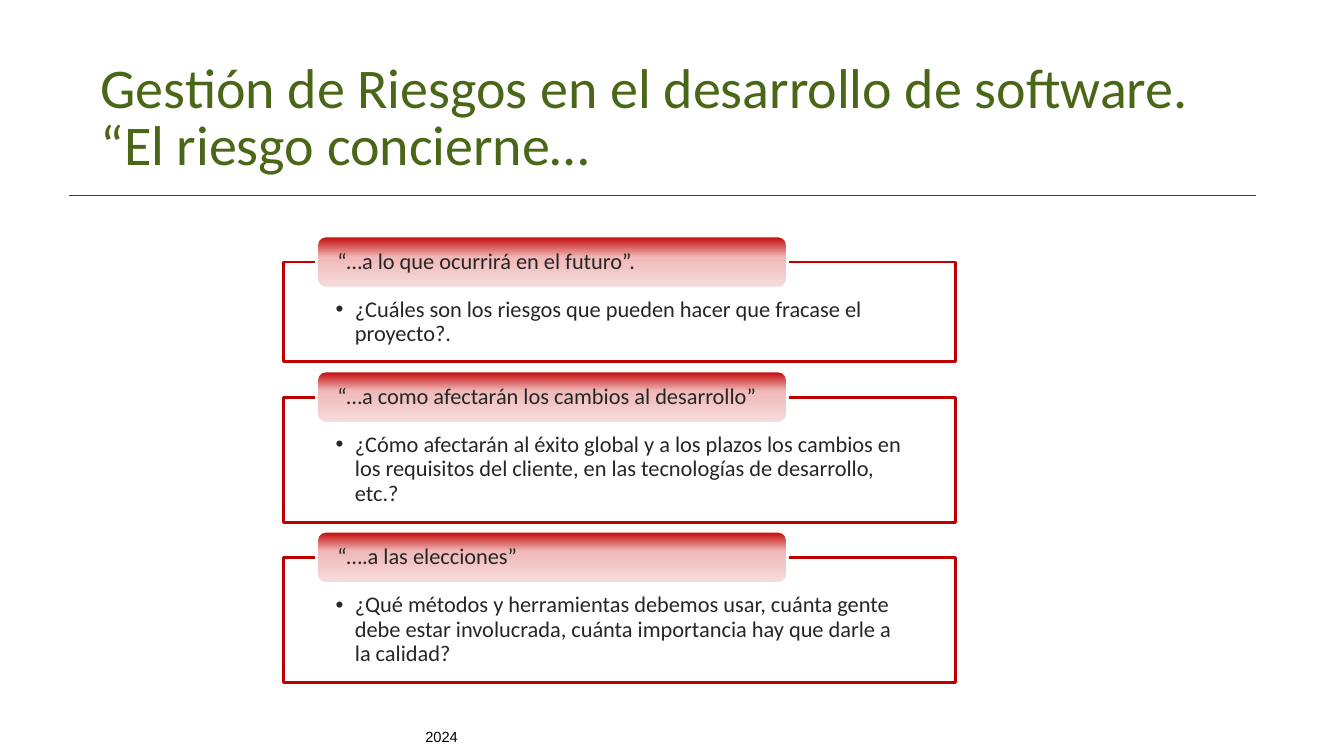
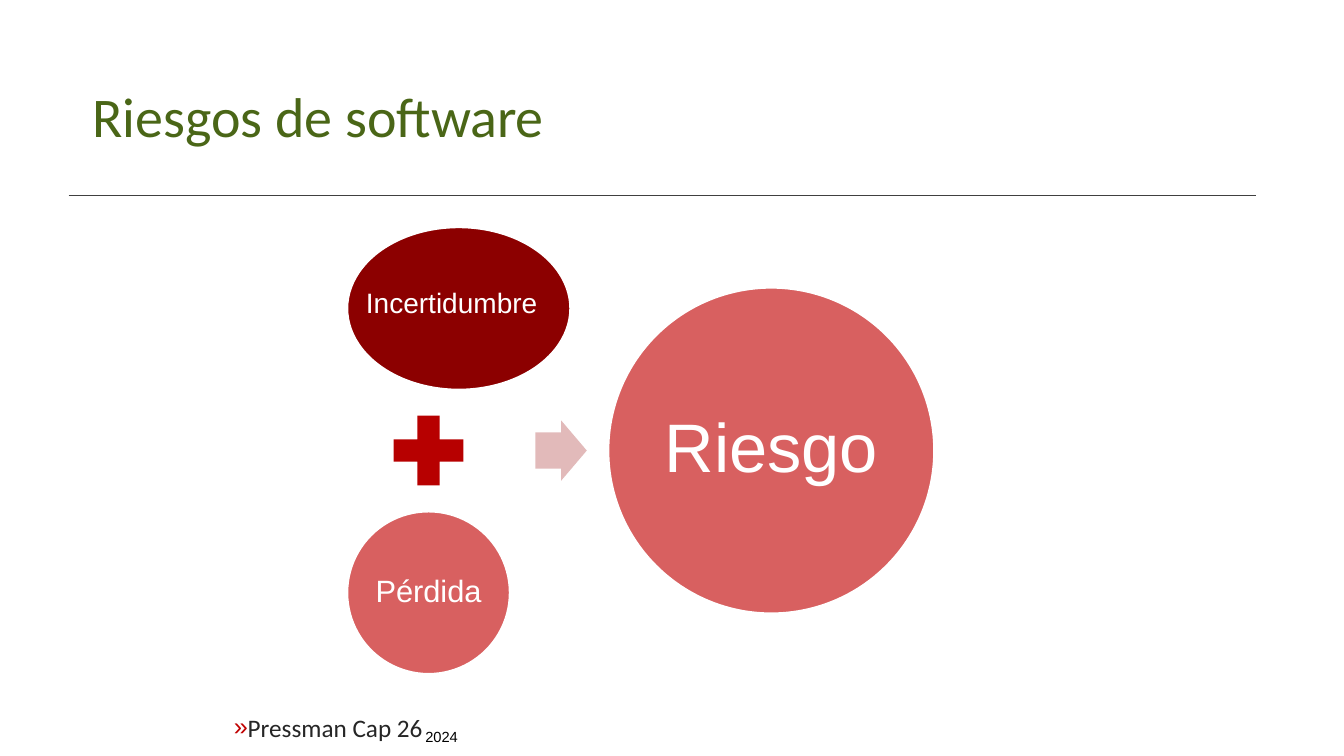
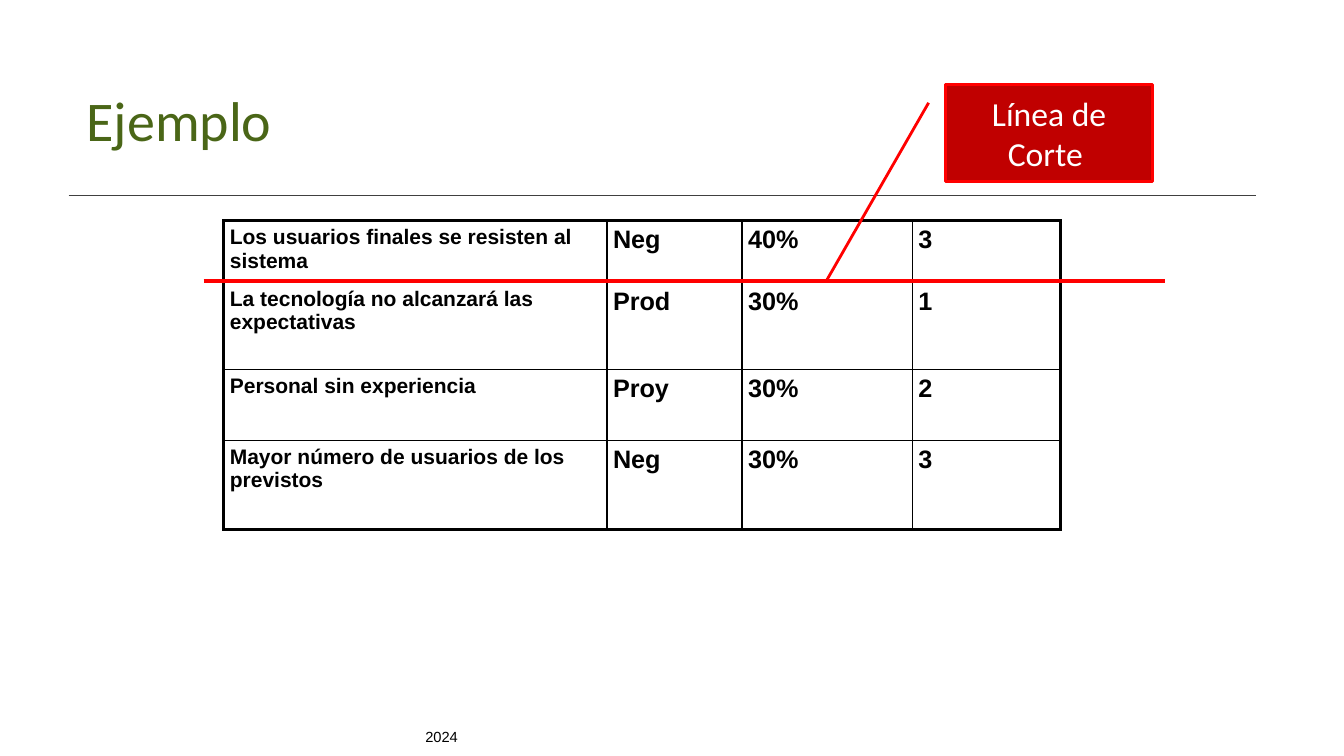
import dataclasses

import pptx
import pptx.dml.color
import pptx.enum.shapes
import pptx.enum.text
import pptx.oxml
import pptx.oxml.ns
import pptx.util
from lxml import etree

Inches = pptx.util.Inches
Pt = pptx.util.Pt
qn = pptx.oxml.ns.qn
SHAPE = pptx.enum.shapes.MSO_SHAPE
ALIGN = pptx.enum.text.PP_ALIGN
ANCHOR = pptx.enum.text.MSO_ANCHOR


@dataclasses.dataclass(frozen=True)
class Theme:
    heading_font: str = "Calibri"
    plain_font: str = "Arial"
    title: str = "4A6617"
    body: str = "262626"
    black: str = "000000"
    white: str = "FFFFFF"
    rule: str = "404040"
    red: str = "C00000"
    bright_red: str = "FF0000"
    dark_red: str = "8C0000"
    plus_red: str = "B70000"
    rose: str = "D86060"
    pale_rose: str = "E2BABA"
    pill_middle: str = "F0B8B8"
    pill_end: str = "F6DDDD"
    title_size: float = 40
    body_size: float = 16
    note_size: float = 18
    callout_size: float = 24
    footer_size: float = 10.5
    risk_size: float = 15
    value_size: float = 18
    outline: float = 2
    thin: float = 0.96
    thick: float = 2.21


T = Theme()


def rgb(color):
    return pptx.dml.color.RGBColor.from_string(color)


def set_font(p, size, color, name, bold=False):
    p.font.size = Pt(size)
    p.font.color.rgb = rgb(color)
    p.font.name = name
    p.font.bold = bold


def set_text(sp, text, size, color, name, align=ALIGN.LEFT, anchor=ANCHOR.TOP,
             insets=(0.1, 0.05, 0.1, 0.05), spacing=1.0, wrap=True):
    """Fill a shape with one paragraph; insets run left, top, right, bottom."""
    tf = sp.text_frame
    tf.word_wrap = wrap
    tf.vertical_anchor = anchor
    tf.margin_left, tf.margin_top, tf.margin_right, tf.margin_bottom = map(Inches, insets)
    p = tf.paragraphs[0]
    p.text = text
    p.alignment = align
    p.line_spacing = spacing
    set_font(p, size, color, name)
    return p


def add_bullet(p, char, color, indent):
    pPr = p._p.get_or_add_pPr()
    pPr.set("marL", str(Inches(indent)))
    pPr.set("indent", str(-Inches(indent)))
    clr = etree.Element(qn("a:buClr"))
    etree.SubElement(clr, qn("a:srgbClr"), val=color)
    font = etree.Element(qn("a:buFont"), typeface=T.plain_font)
    mark = etree.Element(qn("a:buChar"), char=char)
    at = list(pPr).index(pPr.find(qn("a:lnSpc"))) + 1
    pPr[at:at] = [clr, font, mark]


def add_text(slide, box, text, size, color, name, **options):
    tb = slide.shapes.add_textbox(*map(Inches, box))
    return set_text(tb, text, size, color, name, **options)


def add_shape(slide, kind, box, fill, line=None, adjustments=()):
    sp = slide.shapes.add_shape(kind, *map(Inches, box))
    sp.shadow.inherit = False
    sp.fill.solid()
    sp.fill.fore_color.rgb = rgb(fill)
    if line:
        sp.line.color.rgb = rgb(line)
        sp.line.width = Pt(T.outline)
    else:
        sp.line.fill.background()
    for i, value in enumerate(adjustments):
        sp.adjustments[i] = value
    return sp


def add_line(slide, start, end, color, width):
    kind = pptx.enum.shapes.MSO_CONNECTOR.STRAIGHT
    line = slide.shapes.add_connector(kind, *map(Inches, (*start, *end)))
    line.line.color.rgb = rgb(color)
    line.line.width = Pt(width)
    etree.SubElement(line._element.spPr, qn("a:effectLst"))


def set_gradient(sp, stops):
    """Fill from top to bottom with (percent, colour) stops."""
    sp.fill.gradient()
    sp.fill.gradient_angle = 270
    gs_list = sp._element.spPr.find(qn("a:gradFill")).find(qn("a:gsLst"))
    for gs in list(gs_list):
        gs_list.remove(gs)
    for percent, color in stops:
        gs = etree.SubElement(gs_list, qn("a:gs"), pos=str(percent * 1000))
        etree.SubElement(gs, qn("a:srgbClr"), val=color)


def set_borders(cell, widths):
    """Draw the left, right, top and bottom borders, in that order."""
    tcPr = cell._tc.get_or_add_tcPr()
    for i, (side, width) in enumerate(zip(("lnL", "lnR", "lnT", "lnB"), widths)):
        ln = etree.Element(qn("a:" + side), w=str(Pt(width)))
        fill = etree.SubElement(ln, qn("a:solidFill"))
        etree.SubElement(fill, qn("a:srgbClr"), val=T.black)
        tcPr.insert(i, ln)


def add_base_slide(prs, title, left, top, width):
    """Add a slide with the shared rule, year and title."""
    slide = prs.slides.add_slide(prs.slide_layouts[6])
    add_line(slide, (0.68, 1.94), (12.46, 1.94), T.rule, 0.75)
    add_text(slide, (4.12, 7.17, 0.9, 0.28), "2024", T.footer_size, T.black, T.plain_font)
    add_text(slide, (left, top, width, 1.39), title, T.title_size, T.title,
             T.heading_font, anchor=ANCHOR.MIDDLE, spacing=0.85)
    return slide


def add_panel(slide, top, height, heading, question, middle):
    """Add a framed question with its heading pill over the top edge."""
    frame = add_shape(slide, SHAPE.RECTANGLE, (2.81, top, 6.67, height), T.white, T.red)
    p = set_text(frame, question, T.body_size, T.body, T.heading_font,
                 insets=(0.52, 0.36, 0.52, 0.12), spacing=0.9)
    add_bullet(p, "•", T.body, 0.19)
    pill = add_shape(slide, SHAPE.ROUNDED_RECTANGLE, (3.14, top - 0.26, 4.67, 0.52),
                     T.red, T.white, (0.17,))
    set_gradient(pill, [(0, T.red), (middle, T.pill_middle), (100, T.pill_end)])
    set_text(pill, heading, T.body_size, T.body, T.heading_font, anchor=ANCHOR.MIDDLE,
             insets=(0.18, 0, 0.18, 0), spacing=0.9)


def add_bubble(slide, box, fill, text, size, insets=(0, 0, 0, 0)):
    sp = add_shape(slide, SHAPE.OVAL, box, fill, T.white)
    set_text(sp, text, size, T.white, T.plain_font, align=ALIGN.CENTER,
             anchor=ANCHOR.MIDDLE, insets=insets, spacing=0.9, wrap=False)


def add_risk_table(slide, left, top, widths, heights, rows):
    shape = slide.shapes.add_table(len(rows), len(widths), Inches(left), Inches(top),
                                   Inches(sum(widths)), Inches(sum(heights)))
    table = shape.table
    table.first_row = table.horz_banding = False
    for column, width in zip(table.columns, widths):
        column.width = Inches(width)
    for row, height in zip(table.rows, heights):
        row.height = Inches(height)
    last_row, last_col = len(rows) - 1, len(widths) - 1
    for i, values in enumerate(rows):
        for j, value in enumerate(values):
            cell = table.cell(i, j)
            cell.fill.background()
            cell.margin_left = cell.margin_right = Inches(0.06)
            cell.margin_top = cell.margin_bottom = Inches(0.05)
            p = cell.text_frame.paragraphs[0]
            p.text = value
            set_font(p, T.value_size if j else T.risk_size, T.black, T.plain_font, bold=True)
            outer = (j == 0, j == last_col, i == 0, i == last_row)
            set_borders(cell, [T.thick if edge else T.thin for edge in outer])


def build_concerns(prs):
    slide = add_base_slide(
        prs, "Gestión de Riesgos en el desarrollo de software. “El riesgo concierne…",
        0.9, 0.49, 11.31)
    panels = [
        (0.99, 41, "“…a lo que ocurrirá en el futuro”.",
         "¿Cuáles son los riesgos que pueden hacer que fracase el proyecto?."),
        (1.24, 38, "“…a como afectarán los cambios al desarrollo”",
         "¿Cómo afectarán al éxito global y a los plazos los cambios en los requisitos "
         "del cliente, en las tecnologías de desarrollo, etc.?"),
        (1.24, 38, "“….a las elecciones”",
         "¿Qué métodos y herramientas debemos usar, cuánta gente debe estar involucrada, "
         "cuánta importancia hay que darle a la calidad?"),
    ]
    top = 2.6
    for height, middle, heading, question in panels:
        add_panel(slide, top, height, heading, question, middle)
        top += height + 0.35


def build_equation(prs):
    slide = add_base_slide(prs, "Riesgos de software", 0.82, 0.5, 8.86)
    p = add_text(slide, (2.22, 7.06, 3.82, 0.44), "Pressman Cap 26", T.note_size,
                 T.body, T.heading_font, spacing=0.85)
    add_bullet(p, "»", T.red, 0.08)
    add_bubble(slide, (3.44, 2.25, 2.22, 1.62), T.dark_red, "Incertidumbre", 20,
               insets=(0, 0, 0.14, 0.07))
    add_shape(slide, SHAPE.MATH_PLUS, (3.78, 4, 0.94, 0.94), T.plus_red)
    add_bubble(slide, (3.44, 5.07, 1.62, 1.62), T.rose, "Pérdida", 22)
    add_shape(slide, SHAPE.RIGHT_ARROW, (5.31, 4.17, 0.51, 0.6), T.pale_rose,
              adjustments=(0.6, 0.5))
    add_bubble(slide, (6.03, 2.85, 3.24, 3.24), T.rose, "Riesgo", 49)


def build_example(prs):
    slide = add_base_slide(prs, "Ejemplo", 0.76, 0.54, 8.86)
    add_risk_table(slide, 2.22, 2.19, (3.8, 1.34, 1.69, 1.47), (0.61, 0.87, 0.7, 0.88), [
        ("Los usuarios finales se resisten al sistema", "Neg", "40%", "3"),
        ("La tecnología no alcanzará las expectativas", "Prod", "30%", "1"),
        ("Personal sin experiencia", "Proy", "30%", "2"),
        ("Mayor número de usuarios de los previstos", "Neg", "30%", "3"),
    ])
    add_line(slide, (2.02, 2.79), (11.55, 2.79), T.bright_red, 3)
    callout = add_shape(slide, SHAPE.RECTANGLE, (9.38, 0.84, 2.05, 0.96), T.red, T.bright_red)
    set_text(callout, "Línea de Corte ", T.callout_size, T.white, T.heading_font,
             align=ALIGN.CENTER, anchor=ANCHOR.MIDDLE)
    add_line(slide, (9.21, 1.02), (8.2, 2.78), T.bright_red, T.outline)


def main():
    prs = pptx.Presentation()
    prs.slide_width, prs.slide_height = Inches(13.33), Inches(7.5)
    build_concerns(prs)
    build_equation(prs)
    build_example(prs)
    prs.save("out.pptx")


if __name__ == "__main__":
    main()
